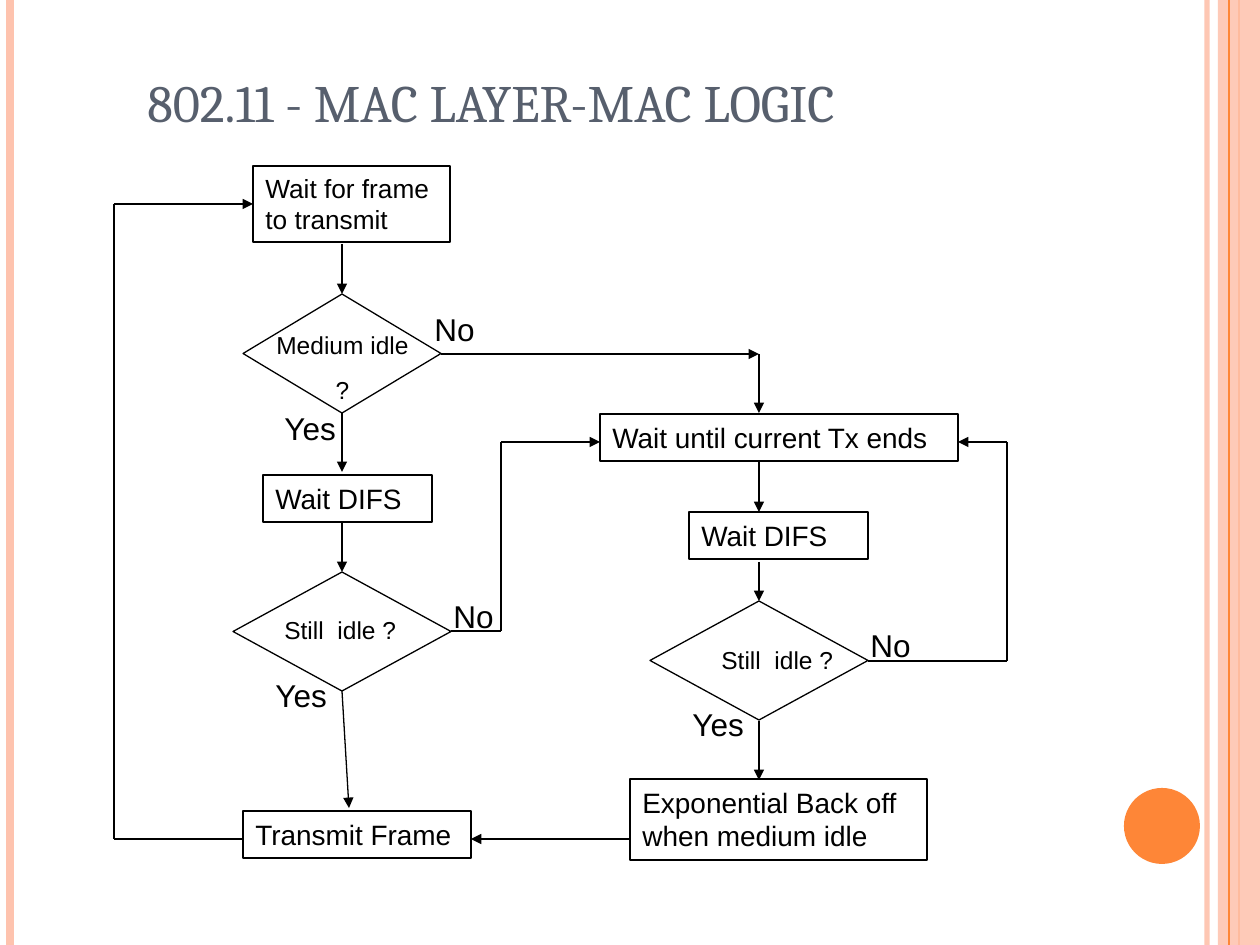
import itertools

import lxml.etree
import pptx
import pptx.dml.color
import pptx.enum.shapes
import pptx.enum.text
import pptx.oxml.ns
import pptx.util

PX = 914400 / 126
SHAPE = pptx.enum.shapes.MSO_SHAPE
ALIGN = pptx.enum.text.PP_ALIGN
ANCHOR = pptx.enum.text.MSO_ANCHOR
BLACK, ORANGE, PEACH, SLATE = "000000", "FE8637", "FEC3AE", "575F6D"


def px(length):
    return pptx.util.Emu(round(length * PX))


def rgb(hex_code):
    return pptx.dml.color.RGBColor.from_string(hex_code)


def add_child(parent, tag, **attributes):
    child = lxml.etree.SubElement(parent, pptx.oxml.ns.qn(tag))
    for key, value in attributes.items():
        child.set(key, value)
    return child


def set_opacity(properties, percent):
    """Apply opacity to the first solid colour under the given properties."""
    colour = next(properties.iter(pptx.oxml.ns.qn("a:srgbClr")))
    add_child(colour, "a:alpha", val=str(percent * 1000))


def add_line(slide, start, end, colour=BLACK, width=0.75, arrow=False):
    line = slide.shapes.add_connector(
        pptx.enum.shapes.MSO_CONNECTOR.STRAIGHT, *map(px, start + end))
    line.line.color.rgb = rgb(colour)
    line.line.width = pptx.util.Pt(width)
    if arrow:
        add_child(line.line._get_or_add_ln(), "a:tailEnd", type="triangle")
    add_child(line._element.spPr, "a:effectLst")
    return line


def add_route(slide, origin, *points, arrow_all=False):
    """Join points, given relative to origin, with an arrowhead at the end."""
    left, top = origin
    corners = [(left + x, top + y) for x, y in points]
    for start, end in itertools.pairwise(corners):
        add_line(slide, start, end, arrow=arrow_all or end == corners[-1])


def add_outline(slide, kind, box, fill=None, line=None):
    shape = slide.shapes.add_shape(kind, *map(px, box))
    shape.shadow.inherit = False
    if fill:
        shape.fill.solid()
        shape.fill.fore_color.rgb = rgb(fill)
    else:
        shape.fill.background()
    if line:
        shape.line.color.rgb = rgb(line)
        shape.line.width = pptx.util.Pt(0.75)
    else:
        shape.line.fill.background()
    return shape


def write(shape, lines, size, font="Arial", colour=BLACK, align=ALIGN.LEFT,
          anchor=ANCHOR.TOP, gap=0, wrap=True):
    frame = shape.text_frame
    frame.word_wrap = wrap
    frame.vertical_anchor = anchor
    for index, line in enumerate(lines):
        paragraph = frame.add_paragraph() if index else frame.paragraphs[0]
        paragraph.alignment = align
        if index:
            paragraph.space_before = pptx.util.Pt(gap)
        run = paragraph.add_run()
        run.text = line
        run.font.size = pptx.util.Pt(size)
        run.font.name = font
        run.font.color.rgb = rgb(colour)


def add_label(slide, box, lines, size, **style):
    write(slide.shapes.add_textbox(*map(px, box)), lines, size, **style)


def add_step(slide, origin, box, *lines, size=16, wrap=True):
    x, y, width, height = box
    step = add_outline(slide, SHAPE.RECTANGLE,
                       (origin[0] + x, origin[1] + y, width, height), line=BLACK)
    write(step, lines, size, wrap=wrap)


def add_decision(slide, origin, box, question, question_box, no_at, yes_at, **style):
    """Diamond with its question and exits, placed relative to the diamond."""
    x, y, width, height = box
    left, top = origin[0] + x, origin[1] + y
    add_outline(slide, SHAPE.FLOWCHART_DECISION, (left, top, width, height), line=BLACK)
    labels = [
        (question_box, question, 14, style),
        ((*no_at, 79, 50), ["No"], 18, {}),
        ((*yes_at, 110, 50), ["Yes"], 18, {}),
    ]
    for (dx, dy, label_width, label_height), lines, size, look in labels:
        add_label(slide, (left + dx, top + dy, label_width, label_height),
                  lines, size, **look)


def add_still_idle(slide, origin, at, question_at):
    add_decision(slide, origin, (*at, 218, 119), ["Still  idle ?"],
                 (*question_at, 238, 43), no_at=(208, 19), yes_at=(30, 98))


def add_side_bands(slide, box):
    left, top, width, height = box
    right, bottom = left + width, top + height

    def stripe(x, colour, weight):
        return add_line(slide, (x, top), (x, bottom), colour, weight)

    inner = stripe(right - 53, PEACH, 3)
    set_opacity(inner._element.spPr, 93)
    stripe(left + 10, PEACH, 4.5)
    stripe(right - 21, ORANGE, 1.5)
    band = add_outline(slide, SHAPE.RECTANGLE, (right - 42, top, 42, height), fill=PEACH)
    set_opacity(band._element.spPr, 87)
    stripe(right - 31, ORANGE, 0.75)
    add_outline(slide, SHAPE.OVAL, (right - 136, bottom - 157, 76, 76), fill=ORANGE)


def add_transmit_column(slide, origin):
    add_step(slide, origin, (20, 0, 197, 76), "Wait for frame", "to transmit",
             size=15, wrap=False)
    add_decision(slide, origin, (10, 128, 198, 119), ["Medium idle", "?"],
                 (20, 30, 159, 87), no_at=(179, 10), yes_at=(29, 109),
                 align=ALIGN.CENTER, gap=8.8)
    add_step(slide, origin, (30, 309, 169, 47), "Wait DIFS")
    add_still_idle(slide, origin, (0, 406), (39, 37))
    add_step(slide, origin, (10, 645, 228, 47), "Transmit Frame")
    for start, end in [(78, 128), (247, 306), (356, 406)]:
        add_route(slide, origin, (109, start), (109, end))
    add_route(slide, origin, (109, 525), (116, 642))


def add_backoff_column(slide, origin):
    add_step(slide, origin, (0, 0, 358, 47), "Wait until current Tx ends")
    add_step(slide, origin, (89, 98, 179, 47), "Wait DIFS")
    add_still_idle(slide, origin, (50, 187), (59, 38))
    add_step(slide, origin, (30, 365, 297, 81), "Exponential Back off when medium idle")
    for start, end in [(48, 98), (148, 187), (307, 366)]:
        add_route(slide, origin, (159, start), (159, end))
    add_route(slide, origin, (268, 247), (407, 247), (407, 28), (358, 28))


def add_flowchart(slide, origin):
    left, top = origin
    add_transmit_column(slide, (left + 119, top))
    add_backoff_column(slide, (left + 486, top + 248))
    add_route(slide, origin, (327, 188), (645, 188), (645, 247), arrow_all=True)
    add_route(slide, origin, (337, 465), (387, 465), (387, 276), (486, 276))
    add_route(slide, origin, (516, 673), (357, 673))
    add_route(slide, origin, (129, 673), (0, 673), (0, 38), (139, 38))


def main():
    deck = pptx.Presentation()
    deck.slide_width, deck.slide_height = px(1260), px(945)
    slide = deck.slides.add_slide(deck.slide_layouts[6])
    add_side_bands(slide, (0, 0, 1260, 945))
    add_label(slide, (135, 63, 1091, 76), ["802.11 - MAC LAYER-MAC LOGIC"], 30,
              font="Cambria", colour=SLATE, anchor=ANCHOR.BOTTOM)
    add_flowchart(slide, (114, 166))
    deck.save("out.pptx")


if __name__ == "__main__":
    main()
